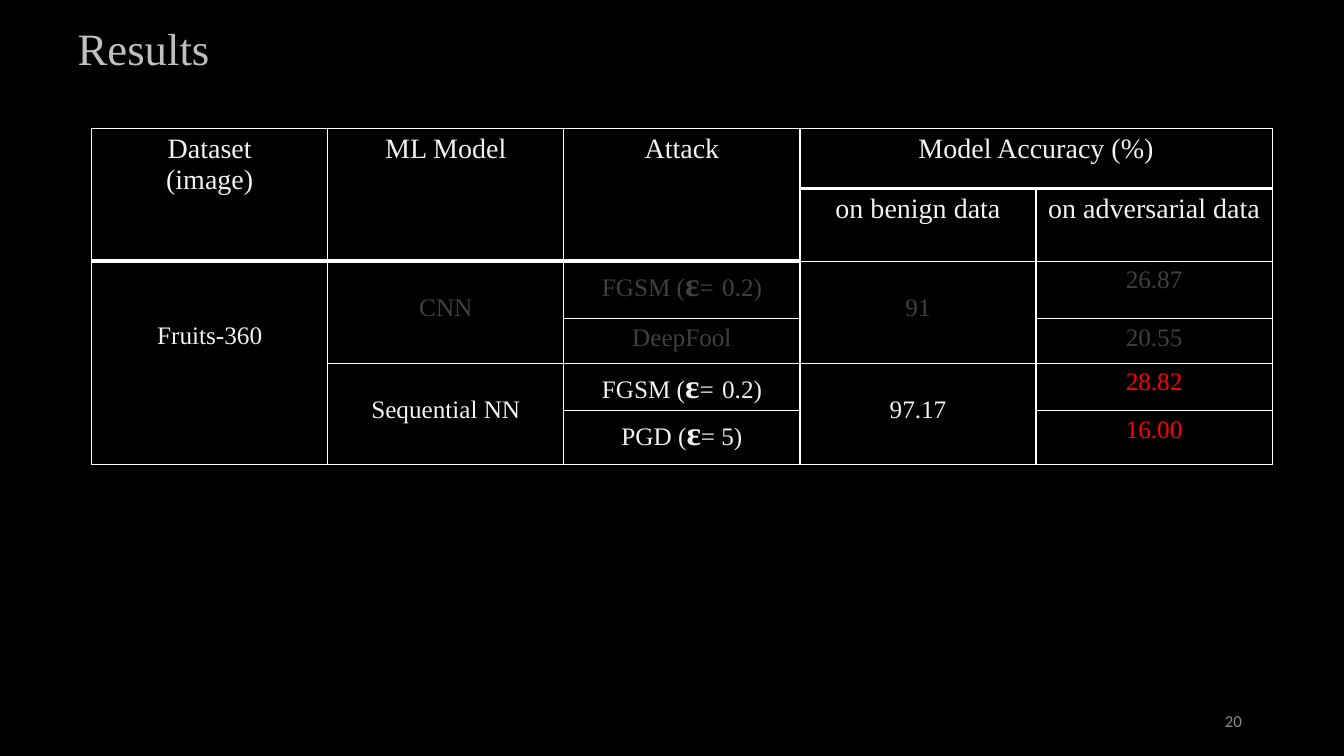
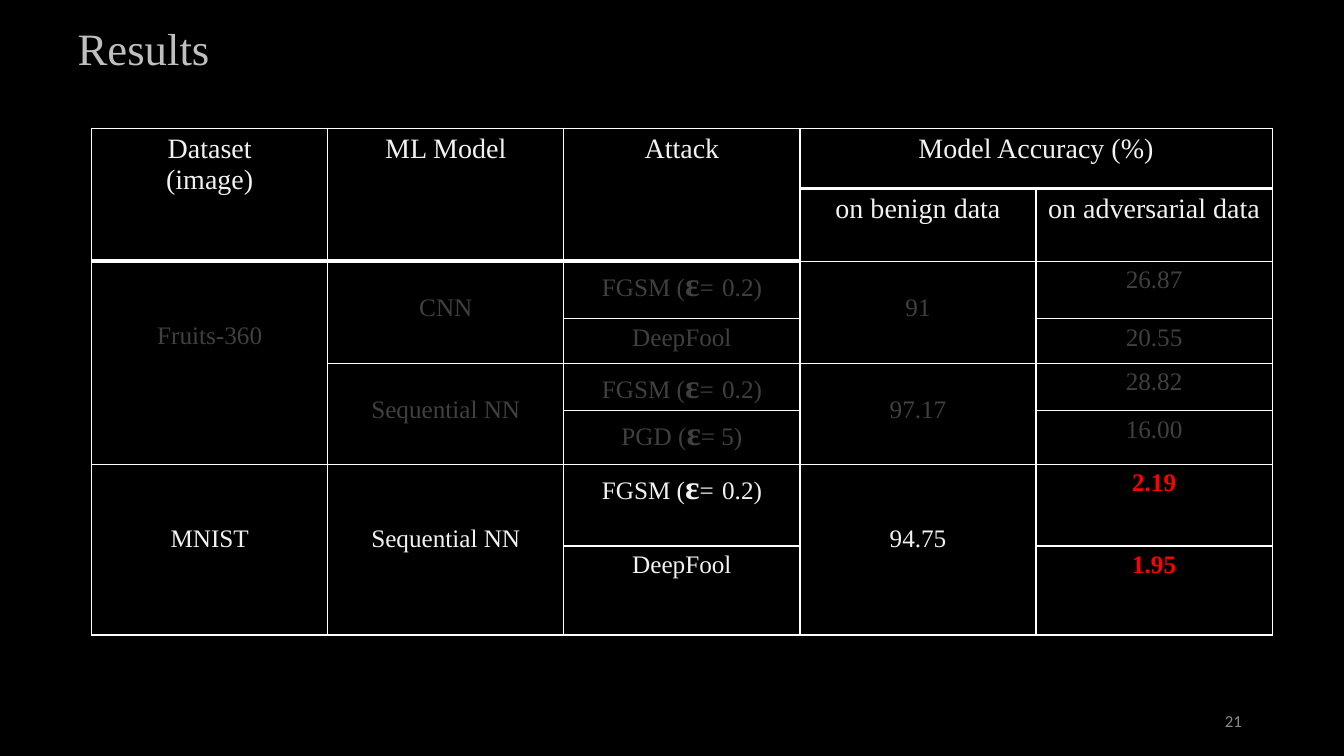
import dataclasses
from typing import Any

import lxml.etree
import pptx
import pptx.dml.color
import pptx.enum.text
import pptx.oxml.ns
import pptx.util

Cm = pptx.util.Cm
Pt = pptx.util.Pt
ALIGN = pptx.enum.text.PP_ALIGN
ANCHOR = pptx.enum.text.MSO_ANCHOR

# Shared look
BLACK, WHITE = "000000", "FFFFFF"
LIGHT, DIM, RED = "F2F2F2", "404040", "FF0000"
SERIF = "Times New Roman"
TITLE = {"name": SERIF, "size": Pt(32), "color": "BFBFBF"}
NUMBER = {"name": "Calibri", "size": Pt(12), "color": "8C8C8C"}
HEAD = {"name": SERIF, "size": Pt(20), "color": LIGHT, "bold": False}
BODY = HEAD | {"size": Pt(18)}
SYMBOL = {"size": Pt(24), "bold": True}
SPACE = {"size": Pt(24)}

# Table grid, in centimetres
HEIGHTS = [1.52, 1.83, 1.45, 1.12, 1.2, 1.35, 2.06, 2.24]
WIDTH, COLS = 5.95, 5
PAD, LINE = 0.13, 0.7
HEAD_ROWS = [2, 2, 2, 1, 1]  # rows above the thick line in each column


@dataclasses.dataclass
class Item:
    """One table cell; "|" parts its runs, drop is its offset in lines."""
    row: int
    col: int
    text: str
    rows: int = 1
    cols: int = 1
    drop: int = 0
    bold: bool = False


@dataclasses.dataclass
class Page:
    number: int
    rows: int
    lit: int  # results that end above this row are dimmed


FGSM = "FGSM (|ɛ|=| |0.2)"
ITEMS = [
    Item(0, 0, "Dataset\n(image)", rows=2),
    Item(0, 1, "ML Model", rows=2),
    Item(0, 2, "Attack", rows=2),
    Item(0, 3, "Model Accuracy (%)", cols=2),
    Item(1, 3, "on benign data"),
    Item(1, 4, "on adversarial data"),
    Item(2, 0, "Fruits-360", rows=4, drop=2),
    Item(2, 1, "CNN", rows=2, drop=1),
    Item(2, 2, FGSM),
    Item(2, 3, "91", rows=2, drop=1),
    Item(2, 4, "26.87"),
    Item(3, 2, "DeepFool"),
    Item(3, 4, "20.55"),
    Item(4, 1, "Sequential NN", rows=2, drop=1),
    Item(4, 2, FGSM),
    Item(4, 3, "97.17", rows=2, drop=1),
    Item(4, 4, "28.82"),
    Item(5, 2, "PGD (|ɛ|= 5)"),
    Item(5, 4, "16.00"),
    Item(6, 0, "MNIST", rows=2, drop=2),
    Item(6, 1, "Sequential NN", rows=2, drop=2),
    Item(6, 2, FGSM),
    Item(6, 3, "94.75", rows=2, drop=2),
    Item(6, 4, "2.19", bold=True),
    Item(7, 2, "DeepFool"),
    Item(7, 4, "1.95", bold=True),
]
PAGES = [Page(20, 6, 4), Page(21, 8, 6)]


def paint(target: Any, color: str) -> None:
    """Give a fill or a font a solid colour."""
    if hasattr(target, "solid"):
        target.solid()
        target = target.fore_color
    else:
        target = target.color
    target.rgb = pptx.dml.color.RGBColor.from_string(color)


def style(font: Any, form: dict[str, Any]) -> None:
    for name, value in form.items():
        if name == "color":
            paint(font, value)
        else:
            setattr(font, name, value)


def write(frame: Any, text: str, form: dict[str, Any], align: Any) -> None:
    """Write lines of runs, with larger symbols and lone spaces."""
    for index, line in enumerate(text.split("\n")):
        para = frame.add_paragraph() if index else frame.paragraphs[0]
        para.alignment = align
        for part in line.split("|"):
            run = para.add_run()
            run.text = part
            extra = {"ɛ": SYMBOL, " ": SPACE}.get(part, {})
            style(run.font, form | extra)


def border(cell: Any, row: int, col: int) -> None:
    """Draw thin edges, and a thick one under the heading."""
    head = HEAD_ROWS[col]
    widths = {"L": 1, "R": 1, "T": 3 if row == head else 1,
              "B": 3 if row < head else 1}
    props = cell._tc.get_or_add_tcPr()
    qn = pptx.oxml.ns.qn
    for side, width in widths.items():
        edge = lxml.etree.SubElement(props, qn(f"a:ln{side}"), w=str(Pt(width)))
        fill = lxml.etree.SubElement(edge, qn("a:solidFill"))
        lxml.etree.SubElement(fill, qn("a:srgbClr"), val=WHITE)


def pick(item: Item, page: Page) -> dict[str, Any]:
    """Choose the text format of a cell on this page."""
    if item.row < 2:
        return HEAD
    if item.row + item.rows <= page.lit:
        return BODY | {"color": DIM}
    color = RED if item.col == COLS - 1 else LIGHT
    return BODY | {"color": color, "bold": item.bold}


def add_grid(slide: Any, page: Page) -> None:
    heights = HEIGHTS[:page.rows]
    table = slide.shapes.add_table(
        page.rows, COLS, Cm(2.31), Cm(3.23),
        Cm(WIDTH * COLS), Cm(sum(heights))).table
    table.first_row = table.horz_banding = False
    for column in table.columns:
        column.width = Cm(WIDTH)
    for row, height in enumerate(heights):
        table.rows[row].height = Cm(height)
        for col in range(COLS):
            cell = table.cell(row, col)
            border(cell, row, col)
            paint(cell.fill, BLACK)
    # Text and merged cells
    for item in ITEMS:
        if item.row >= page.rows:
            continue
        cell = table.cell(item.row, item.col)
        if item.rows * item.cols > 1:
            cell.merge(table.cell(item.row + item.rows - 1,
                                  item.col + item.cols - 1))
        cell.margin_top = Cm(PAD + LINE * item.drop)
        write(cell.text_frame, item.text, pick(item, page), ALIGN.CENTER)


def add_page(deck: Any, page: Page) -> None:
    slide = deck.slides.add_slide(deck.slide_layouts[5])
    # Title
    title = slide.shapes.title
    place = {"left": Cm(1.7), "top": Cm(0.79),
             "width": Cm(27.94), "height": Cm(1.22)}
    for name, value in place.items():
        setattr(title, name, value)
    frame = title.text_frame
    frame.auto_size = pptx.enum.text.MSO_AUTO_SIZE.NONE
    frame.vertical_anchor = ANCHOR.BOTTOM
    write(frame, "Results", TITLE, ALIGN.LEFT)
    frame.paragraphs[0].line_spacing = 0.9
    # Results
    add_grid(slide, page)
    # Page number
    frame = slide.shapes.add_textbox(
        Cm(23.93), Cm(17.65), Cm(7.62), Cm(1.02)).text_frame
    frame.word_wrap = True
    frame.vertical_anchor = ANCHOR.MIDDLE
    write(frame, str(page.number), NUMBER, ALIGN.RIGHT)


def main() -> None:
    deck = pptx.Presentation()
    deck.slide_width, deck.slide_height = Cm(33.87), Cm(19.05)
    paint(deck.slide_master.background.fill, BLACK)
    for page in PAGES:
        add_page(deck, page)
    deck.save("out.pptx")


if __name__ == "__main__":
    main()
